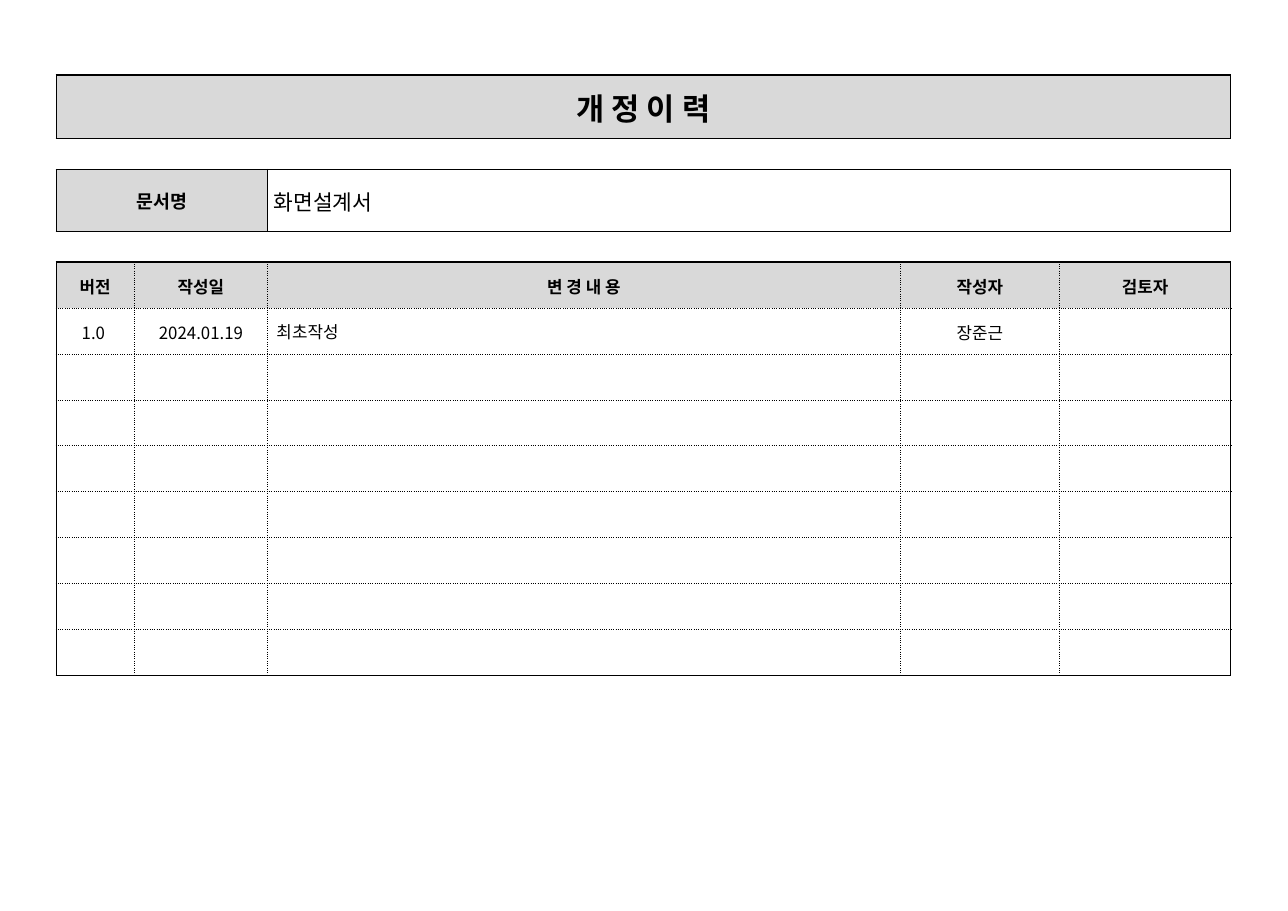
"""Build the revision history slide."""
from lxml.etree import SubElement
from pptx import Presentation
from pptx.dml.color import RGBColor
from pptx.enum.text import MSO_ANCHOR, PP_ALIGN
from pptx.oxml.ns import qn
from pptx.util import Inches, Pt

WIDE, HIGH = 11.69, 8.27
LEFT, TOP = 0.51, 0.68
COLS = [0.71, 1.21, 5.74, 1.45, 1.55]
ROWS = [0.58, 0.28, 0.56, 0.28] + [0.417] * 9
TITLE, NAME, HEAD, FIRST = 0, 2, 4, 5
GAPS = (1, 3)
FONT, INK, GREY = "Noto Sans CJK KR", "000000", "D9D9D9"
SOLID, DOT = (1, "solid"), (0.5, "sysDot")
TEXTS = {
    TITLE: ["개 정 이 력"],
    NAME: ["문서명", "", " 화면설계서"],
    HEAD: ["버전", "작성일", "변 경 내 용", "작성자", "검토자"],
    FIRST: ["1.0 ", "2024.01.19", "최초작성", "장준근"],
}
SIZES = {(TITLE, 0): 20, (NAME, 0): 12, (NAME, 2): 14}
FACES = {(FIRST, 3): "Arial"}
TIGHT, LOOSE = (0.01, 0.01, 0.01, 0), (0.08, 0.04, 0.08, 0.04)


def color(code):
    return RGBColor.from_string(code)


def upright(row, edge):
    if row in GAPS:
        return None
    if row == TITLE or edge in (0, len(COLS)):
        return SOLID
    if row == NAME:
        return SOLID if edge < 3 else None
    return DOT


def level(edge):
    return SOLID if edge <= HEAD or edge == len(ROWS) else DOT


def border(cell, side, kind):
    line = SubElement(cell._tc.get_or_add_tcPr(), qn("a:ln" + side))
    if kind is None:
        SubElement(line, qn("a:noFill"))
        return
    line.set("w", str(Pt(kind[0])))
    fill = SubElement(line, qn("a:solidFill"))
    SubElement(fill, qn("a:srgbClr"), val=INK)
    SubElement(line, qn("a:prstDash"), val=kind[1])


def frame(cell, row, col):
    border(cell, "L", upright(row, col))
    border(cell, "R", upright(row, col + 1))
    border(cell, "T", level(row))
    border(cell, "B", level(row + 1))
    if row in (TITLE, HEAD) or row == NAME and col < 2:
        cell.fill.solid()
        cell.fill.fore_color.rgb = color(GREY)
    else:
        cell.fill.background()


def write(cell, row, col):
    words = TEXTS.get(row, [])
    text = words[col] if col < len(words) else ""
    left = col == 2 and row in (NAME, FIRST)
    pads = LOOSE if left and row == FIRST else TIGHT
    cell.margin_left, cell.margin_top, cell.margin_right, cell.margin_bottom = map(Inches, pads)
    cell.vertical_anchor = MSO_ANCHOR.MIDDLE
    para = cell.text_frame.paragraphs[0]
    if not text:
        SubElement(para._p, qn("a:endParaRPr"), sz="1100")
        return
    para.text = text
    para.alignment = PP_ALIGN.LEFT if left else PP_ALIGN.CENTER
    run = para.runs[0]
    run.font.size = Pt(SIZES.get((row, col), 11))
    run.font.bold = row in (TITLE, HEAD) or (row, col) == (NAME, 0)
    run.font.color.rgb = color(INK)
    run.font.name = FACES.get((row, col), FONT)
    SubElement(run._r.get_or_add_rPr(), qn("a:ea"), typeface=FONT)


def main():
    deck = Presentation()
    deck.slide_width, deck.slide_height = Inches(WIDE), Inches(HIGH)
    slide = deck.slides.add_slide(deck.slide_layouts[6])
    box = map(Inches, (LEFT, TOP, sum(COLS), sum(ROWS)))
    table = slide.shapes.add_table(len(ROWS), len(COLS), *box).table
    table.first_row = table.horz_banding = False
    for col, width in enumerate(COLS):
        table.columns[col].width = Inches(width)
    for row, height in enumerate(ROWS):
        table.rows[row].height = Inches(height)
        for col in range(len(COLS)):
            cell = table.cell(row, col)
            frame(cell, row, col)
            write(cell, row, col)
    table.cell(TITLE, 0).merge(table.cell(TITLE, len(COLS) - 1))
    table.cell(NAME, 0).merge(table.cell(NAME, 1))
    deck.save("out.pptx")


if __name__ == "__main__":
    main()
